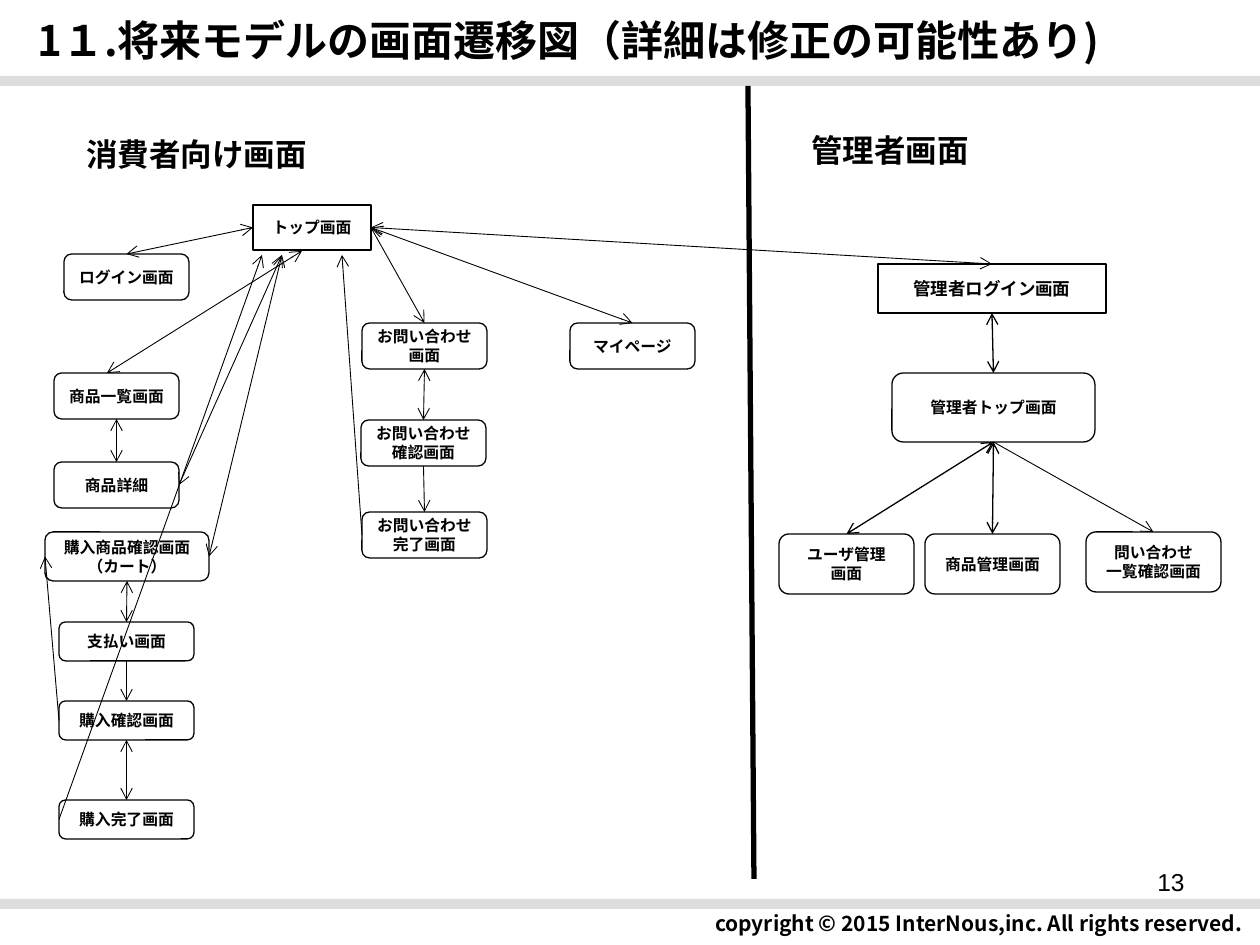
from lxml import etree
from pptx import Presentation
from pptx.dml.color import RGBColor
from pptx.enum.shapes import MSO_CONNECTOR, MSO_SHAPE
from pptx.enum.text import MSO_ANCHOR, PP_ALIGN
from pptx.oxml.ns import qn
from pptx.util import Pt

PX = 914400 // 126
RECT, ROUND = MSO_SHAPE.RECTANGLE, MSO_SHAPE.ROUNDED_RECTANGLE
STRAIGHT = MSO_CONNECTOR.STRAIGHT
LEFT, CENTER, RIGHT = PP_ALIGN.LEFT, PP_ALIGN.CENTER, PP_ALIGN.RIGHT
TOP, MIDDLE = MSO_ANCHOR.TOP, MSO_ANCHOR.MIDDLE
N, W, S, E = range(4)  # connection sites
BLACK, WHITE, GRAY = "000000", "FFFFFF", "DDDDDD"
ARIAL, NOTO = "Arial", "Noto Sans CJK JP"

# text, (x, y, w, h), size, font, bold, alignment, anchor
LABELS = [
    ("1１.将来モデルの画面遷移図（詳細は修正の可能性あり)", (25, 2, 1200, 76), 24, NOTO, True, LEFT, MIDDLE),
    ("copyright © 2015 InterNous,inc. All rights reserved.", (372, 900, 883, 46), 12, NOTO, True, RIGHT, MIDDLE),
    ("消費者向け画面", (74, 115, 280, 77), 18, NOTO, True, LEFT, MIDDLE),
    ("管理者画面", (799, 125, 200, 50), 18, ARIAL, True, LEFT, MIDDLE),
    ("13", (903, 861, 294, 66), 14, ARIAL, False, RIGHT, TOP),
]
BARS_Y = [76, 899]
BAR_W, BAR_H = 1265, 10

# Screens of one size: (w, h), font, {key: (text, x, y)}
SCREEN_GROUPS = [
    ((125, 46), ARIAL, {
        "login": ("ログイン画面", 64, 254),
        "list": ("商品一覧画面", 54, 373),
        "detail": ("商品詳細", 54, 462),
        "mypage": ("マイページ", 570, 323),
        "inquiry": ("お問い合わせ画面", 362, 323),
        "inquiry_check": ("お問い合わせ確認画面", 361, 420),
        "inquiry_done": ("お問い合わせ完了画面", 362, 512),
    }),
    ((135, 39), ARIAL, {
        "payment": ("支払い画面", 59, 622),
        "order_check": ("購入確認画面", 59, 701),
        "order_done": ("購入完了画面", 59, 800),
    }),
    ((164, 49), ARIAL, {"cart": ("購入商品確認画面\n（カート）", 45, 532)}),
    ((118, 45), ARIAL, {"top": ("トップ画面", 253, 205)}),
    ((228, 49), ARIAL, {"admin_login": ("管理者ログイン画面", 878, 264)}),
    ((203, 69), ARIAL, {"admin_top": ("管理者トップ画面", 892, 373)}),
    ((135, 60), NOTO, {
        "users": ("ユーザ管理\n画面", 779, 534),
        "products": ("商品管理画面", 925, 534),
        "inquiries": ("問い合わせ\n一覧確認画面", 1086, 532),
    }),
]
SQUARE_SCREENS = {"top", "admin_login"}
TEXT_SIZES = {"admin_login": 10}

# from, to (a screen's side or a point), line width, arrow at both ends
TRANSITIONS = [
    (("top", W), ("login", N), 0.5, True),
    (("top", E), ("mypage", N), 0.5, True),
    ((302, 251), (107, 373), 0.5, True),
    (("cart", S), ("payment", N), 0.5, True),
    (("order_check", S), ("order_done", N), 0.5, True),
    ((282, 255), ("cart", E), 0.5, True),
    (("list", S), ("detail", N), 0.5, True),
    (("detail", E), (282, 255), 0.5, True),
    (("admin_login", S), ("admin_top", N), 0.75, True),
    (("admin_top", S), ("users", N), 0.75, True),
    (("admin_top", S), ("products", N), 0.75, True),
    (("top", E), ("admin_login", N), 0.5, True),
    (("order_done", W), (262, 255), 0.5, False),
    (("admin_top", S), ("inquiries", N), 0.5, False),
    (("top", E), ("inquiry", N), 0.5, True),
    (("payment", S), ("order_check", N), 0.5, False),
    (("order_check", W), ("cart", W), 0.5, False),
    (("inquiry_check", S), ("inquiry_done", N), 0.5, False),
    (("inquiry_done", W), (342, 255), 0.5, False),
    (("inquiry", S), ("inquiry_check", N), 0.5, True),
]
DIVIDER = ((748, 86), (754, 879))


def rgb(value):
    return RGBColor.from_string(value)


def emu(lengths):
    return [length * PX for length in lengths]


def write(shape, text, size, font_name, bold, align, anchor):
    frame = shape.text_frame
    frame.word_wrap = True
    frame.vertical_anchor = anchor
    frame.text = text
    for paragraph in frame.paragraphs:
        paragraph.alignment = align
        font = paragraph.font
        font.size, font.bold, font.name = Pt(size), bold, font_name
        font.color.rgb = rgb(BLACK)
        etree.SubElement(font._element, qn("a:ea"), typeface=NOTO)


def add_box(slide, kind, bounds, fill):
    box = slide.shapes.add_shape(kind, *emu(bounds))
    box.shadow.inherit = False
    box.fill.solid()
    box.fill.fore_color.rgb = rgb(fill)
    return box


def add_line(slide, start, end, width, ends=()):
    line = slide.shapes.add_connector(STRAIGHT, *emu(start + end))
    line.line.color.rgb = rgb(BLACK)
    line.line.width = Pt(width)
    for tag in ends:
        etree.SubElement(line.line._get_or_add_ln(), qn(tag), type="arrow")
    etree.SubElement(line._element.spPr, qn("a:effectLst"))
    return line


def main():
    deck = Presentation()
    deck.slide_width, deck.slide_height = emu((1260, 945))
    slide = deck.slides.add_slide(deck.slide_layouts[6])

    # Heading, footer and section labels, with their bars
    for y in BARS_Y:
        add_box(slide, RECT, (0, y, BAR_W, BAR_H), GRAY).line.fill.background()
    for text, bounds, *style in LABELS:
        write(slide.shapes.add_textbox(*emu(bounds)), text, *style)

    # Screens
    screens = {}
    for size, font_name, members in SCREEN_GROUPS:
        for key, (text, x, y) in members.items():
            kind = RECT if key in SQUARE_SCREENS else ROUND
            screen = add_box(slide, kind, (x, y, *size), WHITE)
            screen.line.color.rgb = rgb(BLACK)
            screen.line.width = Pt(0.75)
            write(screen, text, TEXT_SIZES.get(key, 9), font_name, True, CENTER, MIDDLE)
            screens[key] = screen

    # Divider between the customer and admin sides
    add_line(slide, *DIVIDER, 3)

    # Transitions
    for start, end, width, both in TRANSITIONS:
        ends = ("a:headEnd", "a:tailEnd") if both else ("a:tailEnd",)
        points = [(0, 0) if p[0] in screens else p for p in (start, end)]
        arrow = add_line(slide, *points, width, ends)
        for (key, side), connect in ((start, arrow.begin_connect), (end, arrow.end_connect)):
            if key in screens:
                connect(screens[key], side)

    deck.save("out.pptx")


if __name__ == "__main__":
    main()
